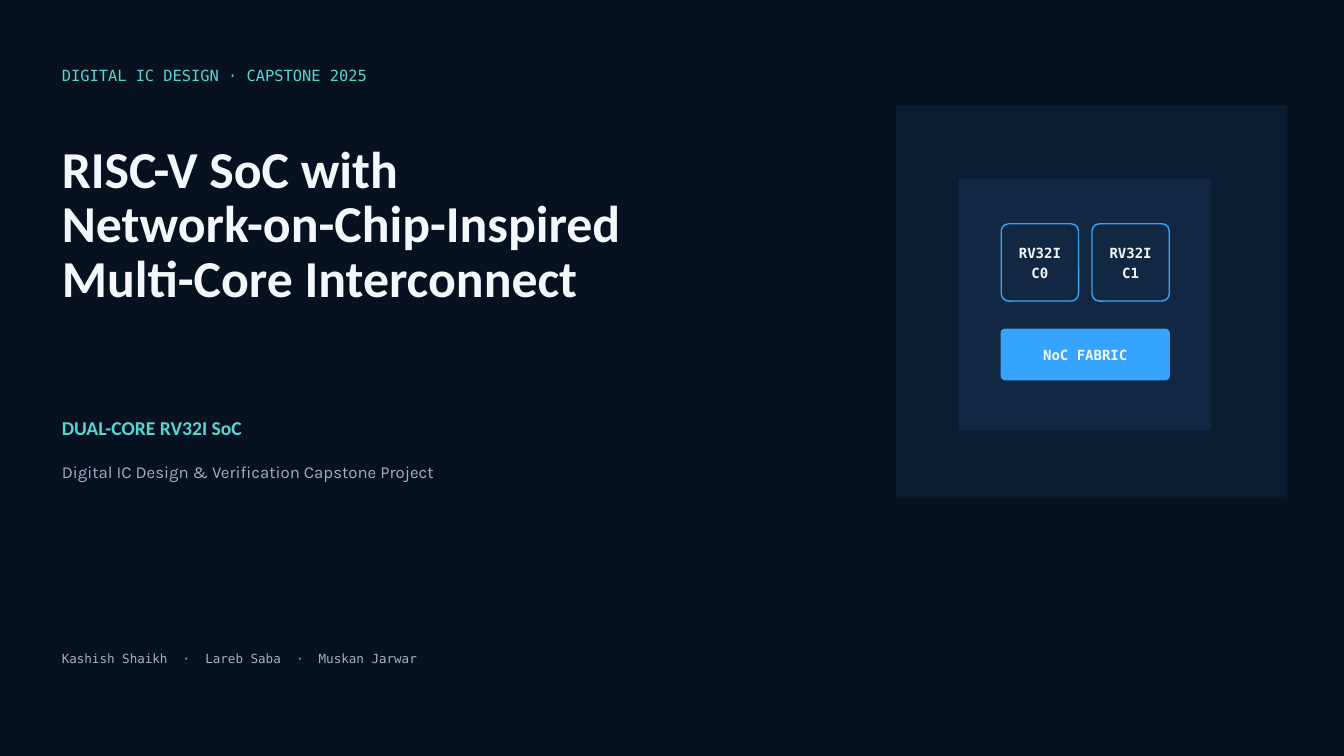
from lxml.etree import SubElement
from pptx import Presentation
from pptx.dml.color import RGBColor
from pptx.enum.shapes import MSO_SHAPE
from pptx.enum.text import MSO_ANCHOR, MSO_AUTO_SIZE, PP_ALIGN
from pptx.oxml.ns import qn
from pptx.util import Inches, Pt

COLORS = {
    "background": "07111F",
    "panel": "122842",
    "blue": "36A3FF",
    "teal": "55D6D2",
    "white": "F4F8FC",
    "gray": "9EB2C8",
}
MONO = "DejaVu Sans Mono"
LEFT = 0.92
CORE_SIZE, CORE_GAP = 1.15, 0.2
CORE_LEFT, CORE_TOP = 14.9, 3.33
LABEL = {"name": MONO, "size": Pt(15), "bold": True}
AUTHORS = ["Kashish Shaikh", "Lareb Saba", "Muskan Jarwar"]


def color(name):
    return RGBColor.from_string(COLORS[name])


def add_span(para, text, font, color_name):
    span = para.add_run()
    span.text = text
    for key, value in font.items():
        setattr(span.font, key, value)
    span.font.color.rgb = color(color_name)
    return span


def add_text(page, top, width, height, lines, font, color_name, spacing):
    """Add a left-aligned text box; each line is a list of run texts."""
    box = page.shapes.add_textbox(Inches(LEFT), Inches(top), Inches(width), Inches(height))
    frame = box.text_frame
    settings = {
        "word_wrap": True,
        "auto_size": MSO_AUTO_SIZE.SHAPE_TO_FIT_TEXT,
        "margin_left": 0,
        "margin_top": 0,
        "margin_right": 0,
        "margin_bottom": 0,
    }
    for key, value in settings.items():
        setattr(frame, key, value)
    for index, texts in enumerate(lines):
        para = frame.add_paragraph() if index else frame.paragraphs[0]
        para.line_spacing = Pt(spacing)
        for text in texts:
            span = add_span(para, text, font, color_name)
            if text == " ":
                widen_space(span)


def widen_space(span):
    """Make a monospaced gap two characters wide."""
    advance = span.font.size.pt * 0.602
    span._r.get_or_add_rPr().set("spc", str(round(advance * 100)))


def add_panel(page, left, top, width, height, fill, kind=MSO_SHAPE.RECTANGLE):
    panel = page.shapes.add_shape(kind, Inches(left), Inches(top), Inches(width), Inches(height))
    panel.shadow.inherit = False
    panel.fill.solid()
    panel.fill.fore_color.rgb = color(fill)
    panel.line.fill.background()
    return panel


def set_opacity(shape, percent):
    solid = shape.fill._xPr.find(qn("a:solidFill"))
    SubElement(solid[0], qn("a:alpha"), val=str(percent * 1000))


def add_block(page, left, top, width, height, fill, radius, lines):
    """Add a rounded, outlined block of the chip with a centred label."""
    block = add_panel(page, left, top, width, height, fill, MSO_SHAPE.ROUNDED_RECTANGLE)
    block.adjustments[0] = radius / min(width, height)
    block.line.color.rgb = color("blue")
    block.line.width = Pt(1.5)
    frame = block.text_frame
    settings = {
        "word_wrap": True,
        "vertical_anchor": MSO_ANCHOR.MIDDLE,
        "margin_left": Inches(0.06),
        "margin_top": Inches(0.06),
        "margin_right": Inches(0.06),
        "margin_bottom": Inches(0.09),
    }
    for key, value in settings.items():
        setattr(frame, key, value)
    for index, text in enumerate(lines):
        para = frame.add_paragraph() if index else frame.paragraphs[0]
        para.alignment = PP_ALIGN.CENTER
        para.line_spacing = Pt(21)
        add_span(para, text, LABEL, "white")


def add_chip(page):
    set_opacity(add_panel(page, 13.33, 1.56, 5.83, 5.83, "blue"), 8)
    add_panel(page, 14.27, 2.66, 3.75, 3.75, "panel")
    for index in range(2):
        left = CORE_LEFT + index * (CORE_SIZE + CORE_GAP)
        add_block(page, left, CORE_TOP, CORE_SIZE, CORE_SIZE, "panel", 0.11,
                  ["RV32I", f"C{index}"])
    add_block(page, CORE_LEFT, 4.9, 2 * CORE_SIZE + CORE_GAP, 0.75, "blue", 0.06,
              ["NoC FABRIC"])


def main():
    deck = Presentation()
    deck.slide_width, deck.slide_height = Inches(20), Inches(11.25)
    page = deck.slides.add_slide(deck.slide_layouts[6])
    page.background.fill.solid()
    page.background.fill.fore_color.rgb = color("background")

    add_chip(page)
    add_text(page, 0.97, 8.85, 0.28, [["DIGITAL IC DESIGN · CAPSTONE 2025"]],
             {"name": MONO, "size": Pt(16.5)}, "teal", 20.6)
    title = [["RISC-V SoC with"], ["Network-on-Chip-Inspired"], ["Multi-Core Interconnect"]]
    add_text(page, 2.15, 12.29, 2.56, title,
             {"name": "Calibri", "size": Pt(55.5), "bold": True}, "white", 58.3)
    add_text(page, 6.21, 7.29, 0.39, [["DUAL-CORE RV32I SoC"]],
             {"name": "Calibri", "size": Pt(21), "bold": True}, "teal", 24.1)
    add_text(page, 6.84, 8.85, 0.33, [["Digital IC Design & Verification Capstone Project"]],
             {"name": "Karla", "size": Pt(18)}, "gray", 24.3)
    credits = [AUTHORS[0]]
    for author in AUTHORS[1:]:
        credits += [" ", "·", " ", author]
    add_text(page, 9.68, 10.42, 0.23, [credits],
             {"name": MONO, "size": Pt(13.5)}, "gray", 16.9)

    deck.save("out.pptx")


if __name__ == "__main__":
    main()
